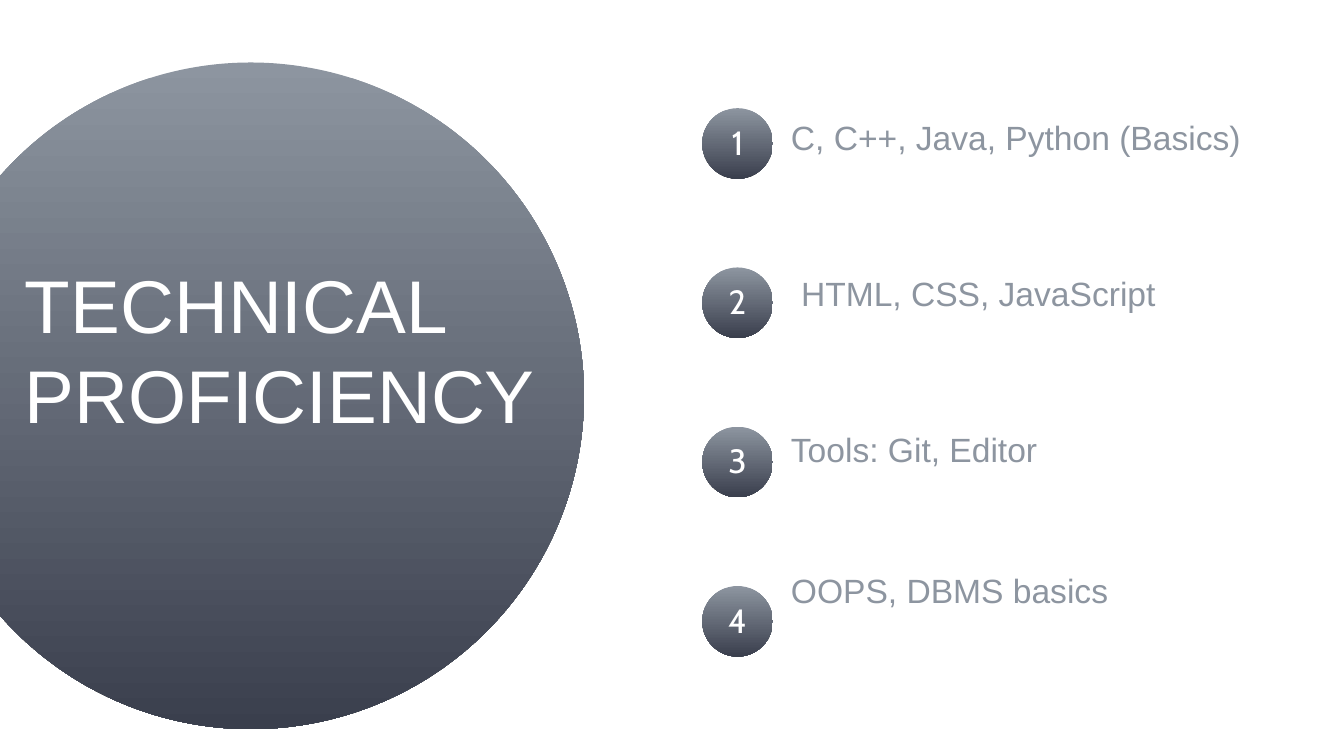
from pptx import Presentation
from pptx.dml.color import RGBColor
from pptx.enum.shapes import MSO_SHAPE as Shape
from pptx.enum.text import MSO_ANCHOR as Anchor, MSO_AUTO_SIZE as AutoSize, PP_ALIGN as Align
from pptx.util import Inches, Pt

WIDTH, HEIGHT = 20, 11.25
TITLE_ONLY = 5
COLORS = {"light": "8D95A0", "dark": "3A3F4D", "white": "FFFFFF"}

# Numbered list: a column of badges at equal steps
BADGE_LEFT, BADGE_TOP, BADGE_SIZE, BADGE_STEP = 10.45, 1.61, 1.05, 2.37

# Skill text with its left, top and width
SKILLS = [
    ("C, C++, Java, Python (Basics)", 11.77, 1.74, 6.89),
    ("HTML, CSS, JavaScript", 11.92, 4.06, 5.48),
    ("Tools: Git, Editor", 11.77, 6.38, 4.56),
    ("OOPS, DBMS basics", 11.77, 8.48, 4.92),
]


def color(name):
    return RGBColor.from_string(COLORS[name])


def write(box, text, size=36, font="Arial", ink="light", align=Align.LEFT,
          anchor=Anchor.TOP, bottom=0):
    """Fill a box with text, one paragraph per line."""
    frame = box.text_frame
    frame.word_wrap = True
    frame.auto_size = AutoSize.NONE
    frame.vertical_anchor = anchor
    frame.margin_left = frame.margin_right = frame.margin_top = 0
    frame.margin_bottom = Inches(bottom)
    frame.text = text
    for para in frame.paragraphs:
        para.alignment = align
        para.line_spacing = Pt(size * 1.2)
        para.space_before = Pt(0)
        for span in para.runs:
            span.font.size = Pt(size)
            span.font.name = font
            span.font.color.rgb = color(ink)


def add_disc(page, left, top, size):
    """Draw a circle shaded from light at the top to dark at the bottom."""
    disc = page.shapes.add_shape(
        Shape.OVAL, Inches(left), Inches(top), Inches(size), Inches(size))
    disc.shadow.inherit = False
    disc.line.fill.background()
    disc.fill.gradient()
    disc.fill.gradient_angle = 270
    for stop, name in zip(disc.fill.gradient_stops, ("light", "dark")):
        stop.color.rgb = color(name)
    return disc


def add_badge(page, number):
    top = BADGE_TOP + (number - 1) * BADGE_STEP
    badge = add_disc(page, BADGE_LEFT, top, BADGE_SIZE)
    write(badge, str(number), font="Cabin", ink="white",
          align=Align.CENTER, anchor=Anchor.MIDDLE, bottom=0.05)


def add_skill(page, text, left, top, width):
    box = page.shapes.add_textbox(
        Inches(left), Inches(top), Inches(width), Inches(0.79))
    write(box, text)


def place_title(page, disc, text):
    """Lay the title placeholder over the large disc."""
    title = page.shapes.title
    title.left, title.top = Inches(0.37), Inches(3.85)
    title.width, title.height = Inches(8.02), Inches(2.97)
    write(title, text, size=80, ink="white")
    disc.element.addnext(title.element)


def main():
    deck = Presentation()
    deck.slide_width, deck.slide_height = Inches(WIDTH), Inches(HEIGHT)
    page = deck.slides.add_slide(deck.slide_layouts[TITLE_ONLY])

    # Title on the large disc
    disc = add_disc(page, -1.23, 0.93, 9.92)
    place_title(page, disc, "TECHNICAL\nPROFICIENCY")

    # Numbered skills
    for number, skill in enumerate(SKILLS, start=1):
        add_badge(page, number)
        add_skill(page, *skill)

    deck.save("out.pptx")


if __name__ == "__main__":
    main()
